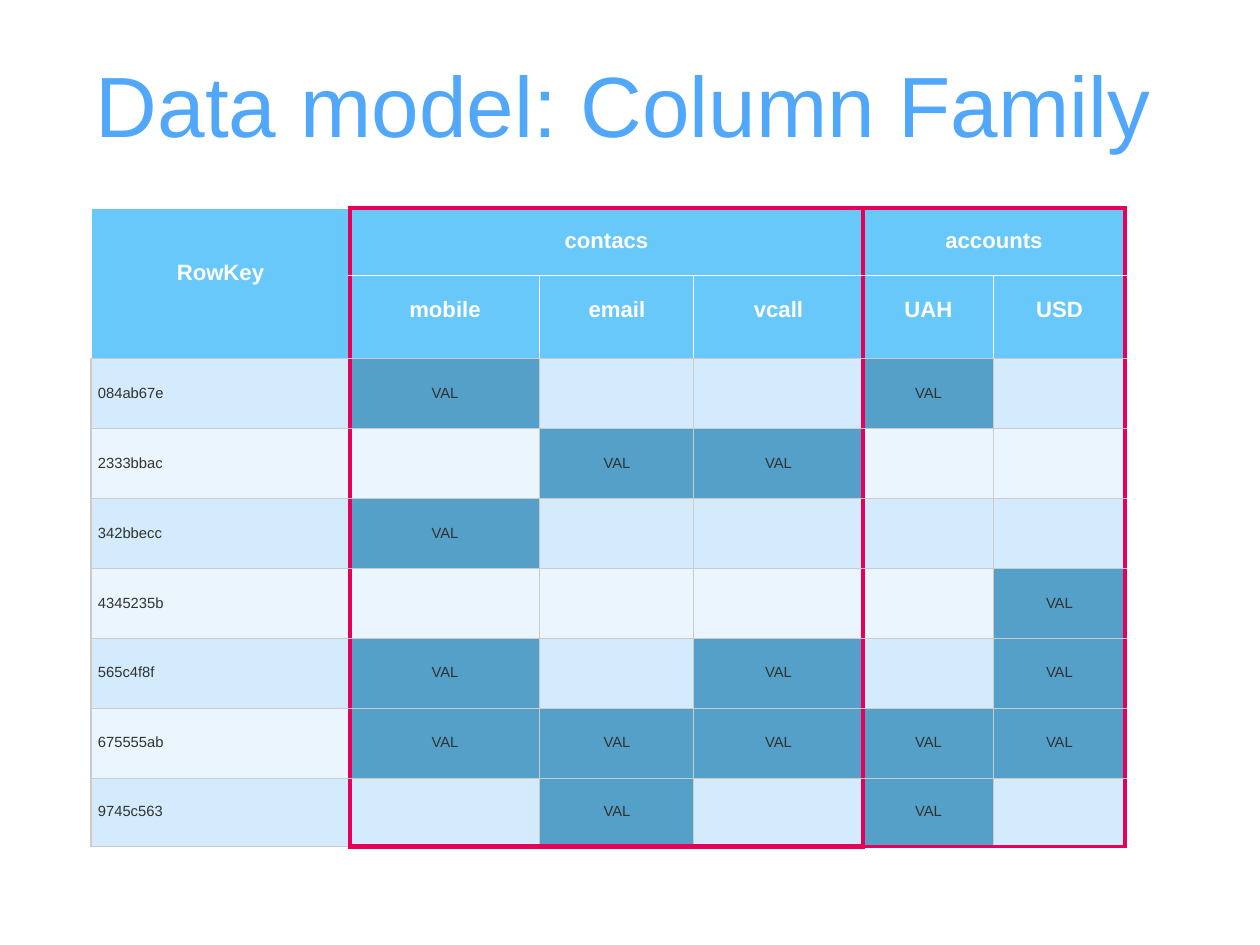
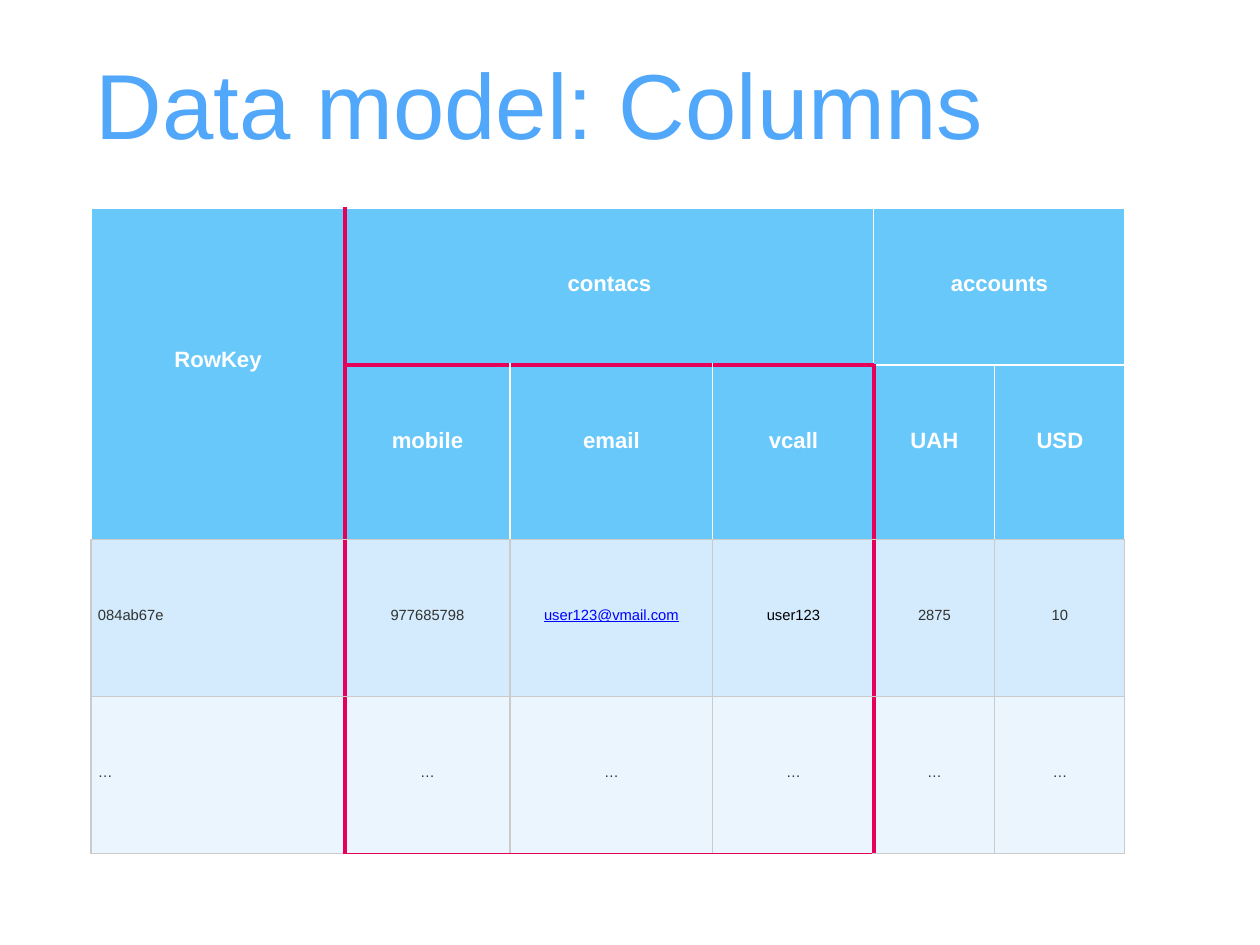
from lxml import etree
from pptx import Presentation
from pptx.dml.color import RGBColor
from pptx.enum.text import MSO_ANCHOR, PP_ALIGN
from pptx.oxml.ns import qn
from pptx.util import Pt

PX = 10321  # EMU per px
LEFT, CENTER = PP_ALIGN.LEFT, PP_ALIGN.CENTER
MIDDLE = MSO_ANCHOR.MIDDLE
FONT = "Arial"

TITLE = RGBColor(0x51, 0xA7, 0xF9)
HEADER = RGBColor(0x69, 0xC8, 0xFA)
BAND_ODD = RGBColor(0xD3, 0xEB, 0xFD)
BAND_EVEN = RGBColor(0xEA, 0xF5, 0xFE)
FILLED = RGBColor(0x54, 0xA0, 0xC8)
WHITE = RGBColor(0xFF, 0xFF, 0xFF)
GREY = RGBColor(0xCB, 0xCB, 0xCB)
RED = RGBColor(0xE6, 0x00, 0x5A)
TEXT = RGBColor(0x31, 0x32, 0x31)
BLUE = RGBColor(0x00, 0x00, 0xFF)
BLACK = RGBColor(0x00, 0x00, 0x00)

HEADERS = [
    ["RowKey", "contacs", "", "", "accounts", ""],
    ["", "mobile", "email", "vcall", "UAH", "USD"],
]
MERGES = [(0, 0, 1, 0), (0, 1, 0, 3), (0, 4, 0, 5)]
EMAIL = "user123@vmail.com"

# Row key and the columns that hold a value
FAMILY_ROWS = [
    ("084ab67e", (1, 4)),
    ("2333bbac", (2, 3)),
    ("342bbecc", (1,)),
    ("4345235b", (5,)),
    ("565c4f8f", (1, 3, 5)),
    ("675555ab", (1, 2, 3, 4, 5)),
    ("9745c563", (2, 4)),
]

# uprights: column edge, first row, pt; levels: row edge, column range, pt
# lifts: bottom margins of RowKey, family row, column row and body
SLIDES = [
    dict(
        title="Data model: Column Family", size=69.5, box=(96, 50, 1062, 105),
        cols=[259, 190, 154, 169, 131, 131],
        rows=[68, 83] + [70] * 6 + [68],
        lifts=[22, 3, 15, 2],
        body=[[key] + ["VAL" if c in used else "" for c in range(1, 6)]
              for key, used in FAMILY_ROWS],
        uprights=[(1, 0, 4.25), (4, 0, 4.25), (6, 0, 3)],
        levels=[(0, 1, 4, 4.25), (9, 1, 4, 4.25), (0, 4, 6, 3), (9, 4, 6, 3)],
    ),
    dict(
        title="Data model: Columns", size=75, box=(96, 45, 890, 113),
        cols=[254, 165, 203, 161, 121, 130],
        rows=[157, 175, 157, 157],
        lifts=[29, 6, 23, 7],
        body=[["084ab67e", "977685798", EMAIL, "user123", "2875", "10"],
              ["…"] * 6],
        uprights=[(1, 0, 3), (4, 1, 3)],
        levels=[(1, 1, 4, 3), (4, 1, 4, 1)],
    ),
]


def add_run(tf, text, size, color, bold=False, align=LEFT):
    p = tf.paragraphs[0]
    p.alignment = align
    r = p.add_run()
    r.text = text
    r.font.name = FONT
    r.font.size = Pt(size)
    r.font.bold = bold
    r.font.color.rgb = color
    return r


def add_border(cell, side, color, width):
    ln = etree.SubElement(cell._tc.get_or_add_tcPr(), qn("a:ln" + side),
                          w=str(Pt(width)))
    fill = etree.SubElement(ln, qn("a:solidFill"))
    etree.SubElement(fill, qn("a:srgbClr"), val=str(color))


prs = Presentation()
prs.slide_width, prs.slide_height = 1260 * PX, 945 * PX

for d in SLIDES:
    s = prs.slides.add_slide(prs.slide_layouts[6])

    # Title
    tf = s.shapes.add_textbox(*[v * PX for v in d["box"]]).text_frame
    tf.word_wrap = True
    tf.margin_left = tf.margin_right = tf.margin_bottom = 0
    tf.margin_top = 2 * PX
    add_run(tf, d["title"], d["size"], TITLE)

    # Table grid
    cols, rows = d["cols"], d["rows"]
    table = s.shapes.add_table(len(rows), len(cols), 91 * PX, 208 * PX,
                               sum(cols) * PX, sum(rows) * PX).table
    table.first_row = table.horz_banding = False
    for column, width in zip(table.columns, cols):
        column.width = width * PX
    for row, height in zip(table.rows, rows):
        row.height = height * PX
    for r0, c0, r1, c1 in MERGES:
        table.cell(r0, c0).merge(table.cell(r1, c1))

    # Red lines by edge
    uprights = {(edge, r): pt for edge, first, pt in d["uprights"]
                for r in range(first, len(rows))}
    levels = {(edge, c): pt for edge, first, end, pt in d["levels"]
              for c in range(first, end)}

    # Cells
    for r, values in enumerate(HEADERS + d["body"]):
        for c, text in enumerate(values):
            cell = table.cell(r, c)
            if cell.is_spanned:
                continue
            is_header = r < 2
            right = c + (cell.span_width if cell.is_merge_origin else 1)
            bottom = r + (cell.span_height if cell.is_merge_origin else 1)

            for side, edge in (("L", c), ("R", right), ("T", r), ("B", bottom)):
                if side in "LR":
                    pt, grid = uprights.get((edge, r)), WHITE if is_header else GREY
                else:
                    pt, grid = levels.get((edge, c)), WHITE if edge < 2 else GREY
                add_border(cell, side, RED if pt else grid, pt or 1)

            cell.fill.solid()
            if is_header:
                color = HEADER
            elif text == "VAL":
                color = FILLED
            else:
                color = BAND_EVEN if r % 2 else BAND_ODD
            cell.fill.fore_color.rgb = color

            is_key = c == 0 and not is_header
            lift = 0 if r == c == 0 else min(r + 1, 3)
            cell.vertical_anchor = MIDDLE
            cell.margin_left = 7 * PX if is_key else 0
            cell.margin_right = cell.margin_top = 0
            cell.margin_bottom = d["lifts"][lift] * PX

            if text:
                color = {EMAIL: BLUE, "user123": BLACK}.get(text, TEXT)
                run = add_run(cell.text_frame, text, 18 if is_header else 12,
                              WHITE if is_header else color, is_header,
                              LEFT if is_key else CENTER)
                if text == EMAIL:
                    run.font.underline = True

prs.save("out.pptx")
